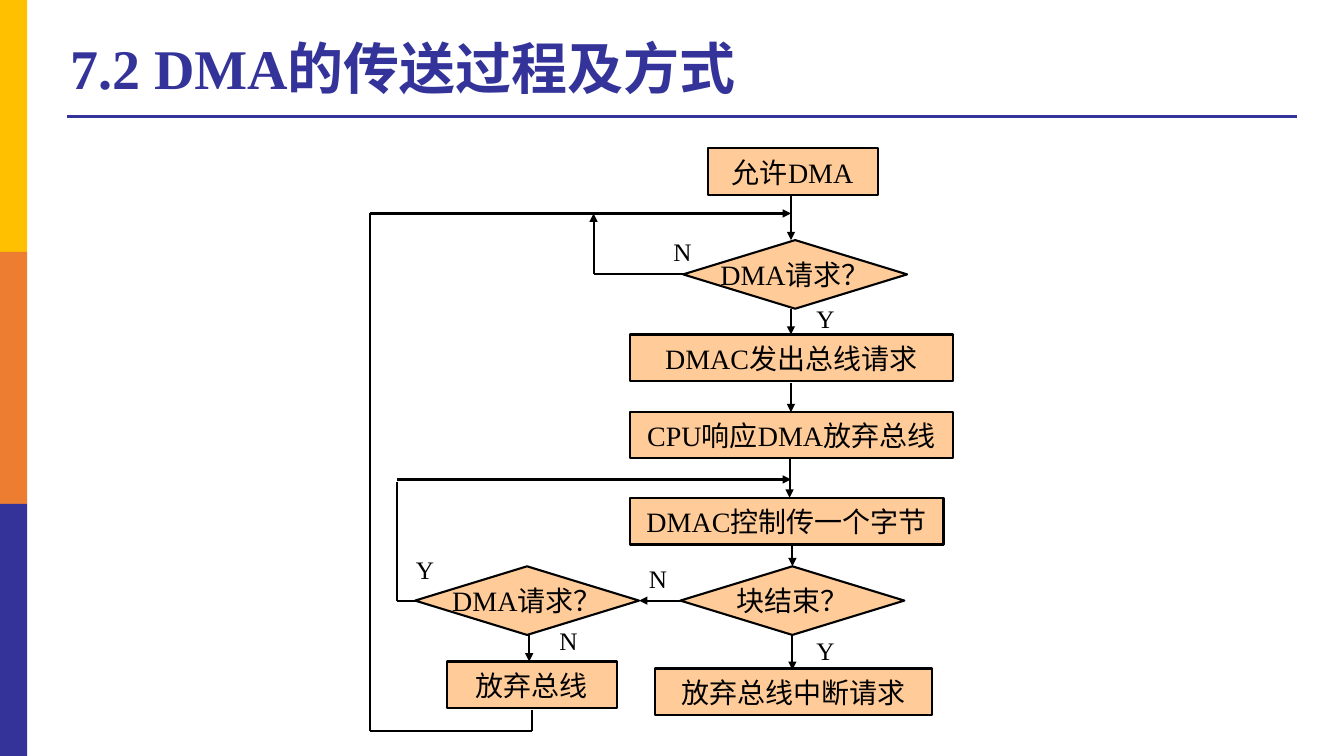
from pptx import Presentation
from pptx.dml.color import RGBColor
from pptx.enum.shapes import MSO_CONNECTOR, MSO_SHAPE
from pptx.enum.text import MSO_ANCHOR, PP_ALIGN
from pptx.oxml.ns import qn
from pptx.util import Pt
from lxml import etree

RECT, DECISION = MSO_SHAPE.RECTANGLE, MSO_SHAPE.FLOWCHART_DECISION
STRAIGHT = MSO_CONNECTOR.STRAIGHT
TOP, MIDDLE = MSO_ANCHOR.TOP, MSO_ANCHOR.MIDDLE
LEFT, CENTER = PP_ALIGN.LEFT, PP_ALIGN.CENTER
NAVY, PEACH, BLACK = "333399", "FFCC99", "000000"


def write(sp, text, size=20, color=BLACK, bold=False, align=CENTER,
          anchor=MIDDLE, wrap=False, spacing=None):
    tf = sp.text_frame
    tf.word_wrap = wrap
    tf.vertical_anchor = anchor
    p = tf.paragraphs[0]
    p.alignment = align
    p.line_spacing = spacing
    r = p.add_run()
    r.text = text
    r.font.name = "Times New Roman"
    r.font.size = Pt(size)
    r.font.bold = bold
    r.font.color.rgb = RGBColor.from_string(color)


def add_line(x1, y1, x2, y2, color=BLACK, width=1.5, arrow=False):
    line = s.shapes.add_connector(STRAIGHT, Pt(x1), Pt(y1), Pt(x2), Pt(y2))
    line.line.color.rgb = RGBColor.from_string(color)
    line.line.width = Pt(width)
    if arrow:
        ln = line.line._get_or_add_ln()
        etree.SubElement(ln, qn("a:tailEnd"), type="triangle")
    etree.SubElement(line._element.spPr, qn("a:effectLst"))


prs = Presentation()
prs.slide_width, prs.slide_height = Pt(960), Pt(540)
s = prs.slides.add_slide(prs.slide_layouts[6])

# Title, rule and side bars
add_line(48, 83, 926.5, 83, color=NAVY, width=2.25)
for i, color in enumerate(["FFC000", "ED7D31", NAVY]):
    sp = s.shapes.add_shape(RECT, 0, Pt(180 * i), Pt(19.5), Pt(180))
    sp.shadow.inherit = False
    sp.fill.solid()
    sp.fill.fore_color.rgb = RGBColor.from_string(color)
    sp.line.fill.background()
title = s.shapes.add_textbox(Pt(43), Pt(20), Pt(713.5), Pt(62.5))
write(title, "7.2 DMA的传送过程及方式", size=40, color=NAVY, bold=True,
      align=LEFT, wrap=True, spacing=0.9)

# Arrows between steps
for x1, y1, x2, y2 in [
    (565, 140, 565, 171.5),
    (565, 220.5, 565, 239),
    (565, 273.5, 565, 294.5),
    (564, 328, 564, 355.5),
    (566, 389.5, 566, 404.5),
    (566, 453.5, 566, 478.5),
    (378, 453.5, 378, 472.5),
    (488, 429, 456.5, 429),
    (283.5, 342.5, 565, 342.5),
    (264.5, 152.5, 565, 152.5),
    (424, 195.5, 424, 152.5),
]:
    add_line(x1, y1, x2, y2, arrow=True)

# Plain parts of the loops
for x1, y1, x2, y2 in [
    (424, 195.5, 494.5, 195.5),
    (283.5, 344, 283.5, 429.5),
    (296.5, 429, 283.5, 429),
    (380, 507, 380, 522),
    (380, 522, 264.5, 522),
    (264.5, 152.5, 264.5, 522),
]:
    add_line(x1, y1, x2, y2)

# Steps and decisions
for kind, text, x, y, w, h in [
    (RECT, "允许DMA", 505.5, 106, 121.5, 33.5),
    (RECT, "DMAC发出总线请求", 450, 239, 230.5, 33.5),
    (RECT, "CPU响应DMA放弃总线", 450, 294, 230.5, 33.5),
    (RECT, "DMAC控制传一个字节", 450, 355.5, 224, 33.5),
    (RECT, "放弃总线中断请求", 468, 477.5, 198, 33.5),
    (RECT, "放弃总线", 319, 472.5, 121.5, 33.5),
    (DECISION, "DMA请求？", 488, 171.5, 160, 49),
    (DECISION, "块结束？", 486, 404.5, 160, 49),
    (DECISION, "DMA请求？", 296.5, 404.5, 160, 49),
]:
    sp = s.shapes.add_shape(kind, Pt(x), Pt(y), Pt(w), Pt(h))
    sp.shadow.inherit = False
    sp.fill.solid()
    sp.fill.fore_color.rgb = RGBColor.from_string(PEACH)
    sp.line.color.rgb = RGBColor.from_string(BLACK)
    sp.line.width = Pt(1.5)
    write(sp, text)

# Branch labels
for text, x, y in [
    ("N", 474, 165.5), ("Y", 576, 213), ("Y", 290, 392.5),
    ("N", 456.5, 399), ("N", 392.5, 443), ("Y", 576, 450),
]:
    label = s.shapes.add_textbox(Pt(x), Pt(y), Pt(27.5), Pt(29))
    write(label, text, size=18, align=LEFT, anchor=TOP)

prs.save("out.pptx")
